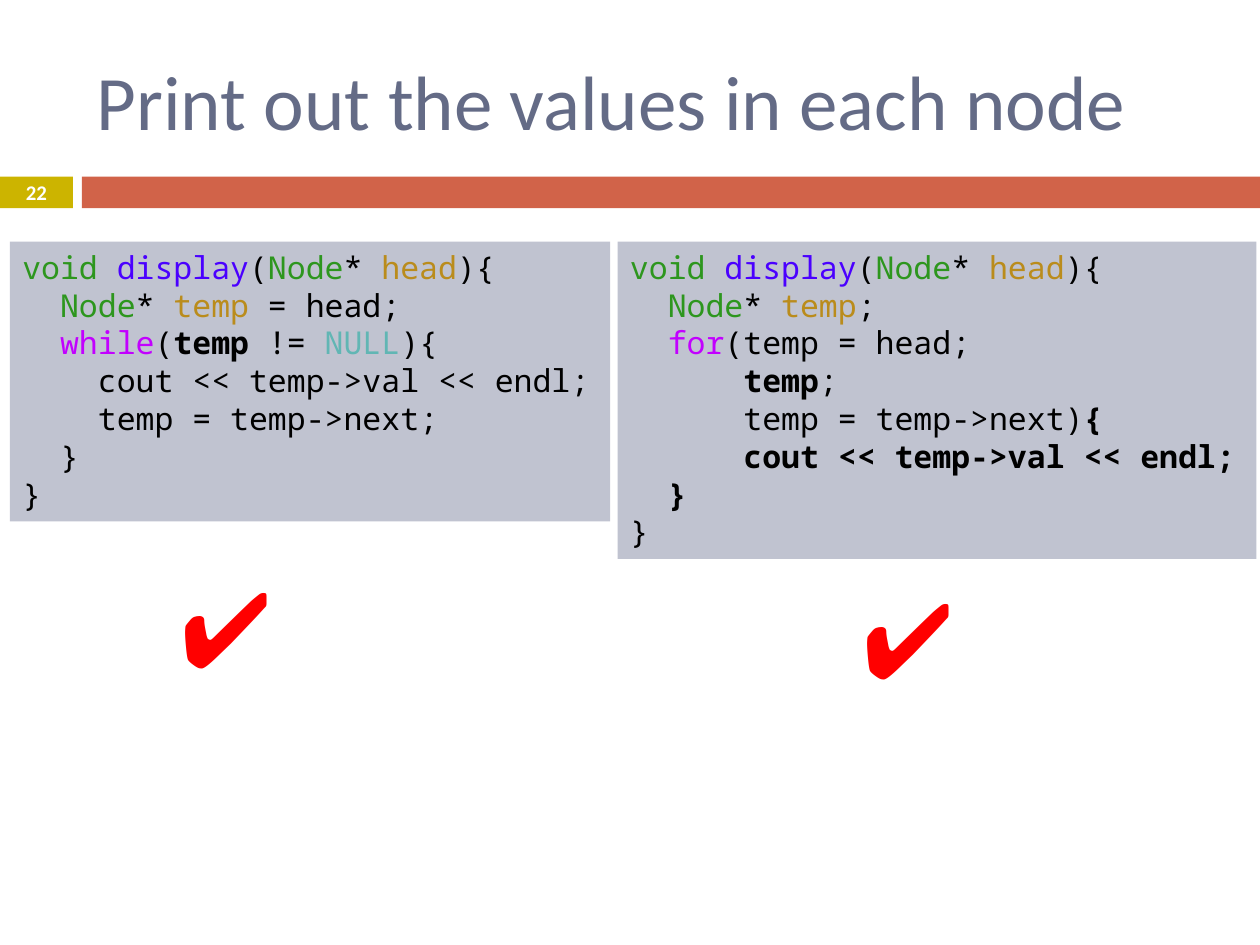
from pptx import Presentation
from pptx.dml.color import RGBColor
from pptx.enum import shapes, text
from pptx.util import Cm, Pt

WHITE = RGBColor(0xFF, 0xFF, 0xFF)
BLACK = RGBColor(0, 0, 0)
RED = RGBColor(0xFF, 0, 0)
SLATE = RGBColor(0x64, 0x6B, 0x86)
PANEL = RGBColor(0xC0, 0xC3, 0xD0)
OLIVE = RGBColor(0xCC, 0xB4, 0x00)
BRICK = RGBColor(0xD1, 0x63, 0x49)
TYPE = RGBColor(0x2D, 0x96, 0x1E)
FUNCTION = RGBColor(0x4A, 0x00, 0xFF)
VARIABLE = RGBColor(0xBA, 0x8C, 0x1C)
KEYWORD = RGBColor(0xC2, 0x00, 0xFF)
CONSTANT = RGBColor(0x61, 0xB6, 0xB4)

SIGNATURE = [("void ", TYPE), ("display", FUNCTION), ("(",), ("Node", TYPE),
             ("* ",), ("head", VARIABLE), ("){",)]
DECLARATION = [("  ",), ("Node", TYPE), ("* ",), ("temp", VARIABLE)]
WHILE_LOOP = [
    SIGNATURE,
    DECLARATION + [(" = head;",)],
    [("  ",), ("while", KEYWORD), ("(",), ("temp", BLACK, True), (" != ",),
     ("NULL", CONSTANT), ("){",)],
    [("    cout << temp->val << endl;",)],
    [("    temp = temp->next;",)],
    [("  }",)],
    [("}",)],
]
FOR_LOOP = [
    SIGNATURE,
    DECLARATION + [(";",)],
    [("  ",), ("for", KEYWORD), ("(temp = head;",)],
    [("      ",), ("temp", BLACK, True), (";",)],
    [("      temp = temp->next)",), ("{", BLACK, True)],
    [("      cout << temp->val << endl;", BLACK, True)],
    [("  }", BLACK, True)],
    [("}",)],
]


def add_rectangle(page, left, top, width, height, colour):
    box = page.shapes.add_shape(shapes.MSO_SHAPE.RECTANGLE, Cm(left), Cm(top),
                                Cm(width), Cm(height))
    box.shadow.inherit = False
    box.fill.solid()
    box.fill.fore_color.rgb = colour
    box.line.fill.background()
    return box


def add_label(page, left, top, width, height, words, size, font, colour):
    box = page.shapes.add_textbox(Cm(left), Cm(top), Cm(width), Cm(height))
    box.text_frame.word_wrap = True
    para = box.text_frame.paragraphs[0]
    para.text = words
    para.font.size = Pt(size)
    para.font.name = font
    para.font.color.rgb = colour
    return box


def add_header(page, left, top, width, title, number):
    bar_top, bar_height, number_width, gap = 2.92, 0.64, 1.47, 0.18
    bar_left = number_width + gap
    add_rectangle(page, left, top + bar_top, number_width, bar_height, OLIVE)
    add_rectangle(page, left + bar_left, top + bar_top, width - bar_left,
                  bar_height, BRICK)
    heading = add_label(page, left + 1.7, top, 22.66, 2.74, title, 44,
                        "Calibri", SLATE)
    heading.text_frame.vertical_anchor = text.MSO_ANCHOR.MIDDLE
    badge = add_label(page, left, top + bar_top, number_width, bar_height,
                      number, 11.9, "Calibri", WHITE)
    badge.text_frame.vertical_anchor = text.MSO_ANCHOR.MIDDLE
    para = badge.text_frame.paragraphs[0]
    para.alignment = text.PP_ALIGN.CENTER
    para.font.bold = True


def add_code(page, left, top, width, height, lines):
    frame = add_rectangle(page, left, top, width, height, PANEL).text_frame
    frame.word_wrap = False
    frame.auto_size = text.MSO_AUTO_SIZE.SHAPE_TO_FIT_TEXT
    frame.vertical_anchor = text.MSO_ANCHOR.TOP
    for index, line in enumerate(lines):
        para = frame.add_paragraph() if index else frame.paragraphs[0]
        para.alignment = text.PP_ALIGN.LEFT
        for words, colour, bold in ((*token, BLACK, False)[:3] if len(token) != 2
                                    else (*token, False) for token in line):
            span = para.add_run()
            span.text = words
            span.font.color.rgb = colour
            span.font.bold = bold
        para.font.size = Pt(18)
        para.font.name = "Noto Sans Mono"


def add_tick(page, left, top):
    add_label(page, left, top, 4.5, 2.82, "✔", 60, "Arial", RED)


def main():
    deck = Presentation()
    deck.slide_width, deck.slide_height = Cm(25.4), Cm(19.05)
    page = deck.slides.add_slide(deck.slide_layouts[6])
    add_header(page, 0, 0.64, 25.4, "Print out the values in each node", "22")
    add_code(page, 0.2, 4.87, 12.1, 5.64, WHILE_LOOP)
    add_code(page, 12.45, 4.87, 12.88, 6.4, FOR_LOOP)
    add_tick(page, 3.38, 11.22)
    add_tick(page, 17.14, 11.44)
    deck.save("out.pptx")


if __name__ == "__main__":
    main()
